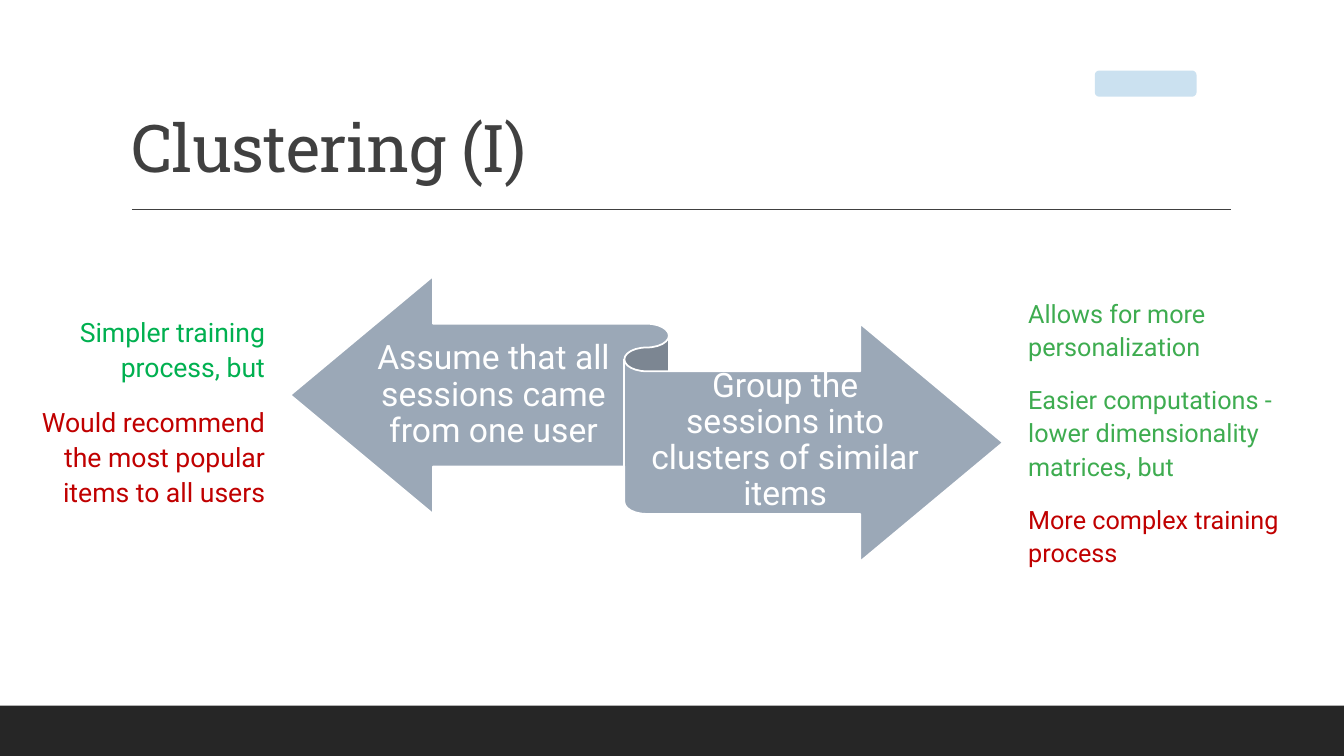
from pptx import Presentation
from pptx.dml.color import RGBColor
from pptx.enum.shapes import MSO_CONNECTOR, MSO_SHAPE
from pptx.enum.text import MSO_ANCHOR, MSO_AUTO_SIZE, PP_ALIGN
from pptx.oxml.ns import qn
from pptx.util import Pt
from lxml.etree import SubElement

HEAD = "Clustering (I)"
PROS = [
    ("Simpler training process, but", "good"),
    ("Would recommend the most popular items to all users", "bad"),
]
CONS = [
    ("Allows for more personalization", "gain"),
    ("Easier computations - lower dimensionality matrices, but", "gain"),
    ("More complex training process", "bad"),
]
ARMS = [
    ("Assume that all sessions came from one user", (268.6, 232.6, 167.8, 100)),
    ("Group the sessions into clusters of similar items", (461.5, 265, 198.7, 100)),
]
THEME = {
    "ink": "404040", "band": "262626", "ribbon": "9BA8B7", "white": "FFFFFF",
    "tag": "9AC5E2", "good": "00B050", "gain": "3EAC50", "bad": "C00000",
    "serif": "Roboto Slab", "sans": "Roboto",
    "title": 47, "left": 19, "right": 18, "arm": 24,
}
WIDE, HIGH, FOOT = 960, 540, 36


def color(name):
    return RGBColor.from_string(THEME[name])


def place(shape, box):
    shape.left, shape.top, shape.width, shape.height = map(Pt, box)


def draw(kind, box, fill, line=None):
    shape = slide.shapes.add_shape(kind, *map(Pt, box))
    shape.shadow.inherit = False
    shape.fill.solid()
    shape.fill.fore_color.rgb = color(fill)
    if line:
        shape.line.color.rgb = color(line)
        shape.line.width = Pt(1.25)
    else:
        shape.line.fill.background()
    return shape


def style(para, size, tint, face="sans"):
    for run in para.runs:
        run.font.size = Pt(THEME[size])
        run.font.name = THEME[face]
        run.font.color.rgb = color(tint)


def frame(shape, top, base, anchor):
    text = shape.text_frame
    text.word_wrap = True
    text.auto_size = MSO_AUTO_SIZE.NONE
    text.vertical_anchor = anchor
    text.margin_left = text.margin_right = 0
    text.margin_top, text.margin_bottom = Pt(top), Pt(base)
    return text


def notes(shape, items, size, align):
    text = frame(shape, 3.6, 3.6, MSO_ANCHOR.TOP)
    text.text = "\n".join(words for words, tint in items)
    for para, (words, tint) in zip(text.paragraphs, items):
        para.alignment = align
        para.line_spacing = 1.1
        para.space_before, para.space_after = Pt(12), Pt(2)
        props = para._p.get_or_add_pPr()
        props.set("marL", "0")
        props.set("indent", "0")
        SubElement(props, qn("a:buNone"))
        style(para, size, tint)


deck = Presentation()
deck.slide_width, deck.slide_height = Pt(WIDE), Pt(HIGH)
slide = deck.slides.add_slide(deck.slide_layouts[1])

draw(MSO_SHAPE.RECTANGLE, (0, HIGH - FOOT, WIDE, FOOT), "band")
rule = slide.shapes.add_connector(
    MSO_CONNECTOR.STRAIGHT, Pt(94.3), Pt(149.5), Pt(879), Pt(149.5))
rule.line.color.rgb = color("ink")
rule.line.width = Pt(1)
SubElement(rule._element.spPr, qn("a:effectLst"))

title = slide.shapes.title
place(title, (86.4, 22.3, 792, 114.5))
text = title.text_frame
text.text = HEAD
text.word_wrap = True
text.auto_size = MSO_AUTO_SIZE.NONE
text.vertical_anchor = MSO_ANCHOR.BOTTOM
para = text.paragraphs[0]
para.alignment = PP_ALIGN.LEFT
para.line_spacing = 0.9
style(para, "title", "ink", "serif")
para.runs[0].font._element.set("spc", "-50")

body = slide.placeholders[1]
place(body, (25.9, 219.6, 163.4, 157.7))
notes(body, PROS, "left", PP_ALIGN.RIGHT)

draw(MSO_SHAPE.LEFT_RIGHT_RIBBON, (207.4, 197.3, 509, 203.8), "ribbon", "white")
for words, box in ARMS:
    arm = slide.shapes.add_textbox(*map(Pt, box))
    text = frame(arm, 6.5, 7.2, MSO_ANCHOR.MIDDLE)
    text.text = words
    para = text.paragraphs[0]
    para.alignment = PP_ALIGN.CENTER
    para.line_spacing = 0.9
    style(para, "arm", "white")

side = slide.shapes.add_textbox(Pt(734.4), Pt(207.4), Pt(200.2), Pt(211.7))
notes(side, CONS, "right", PP_ALIGN.LEFT)

tag = draw(MSO_SHAPE.ROUNDED_RECTANGLE, (782, 50.4, 72.7, 18.7), "tag")
shade = tag._element.spPr.find(qn("a:solidFill"))[0]
SubElement(shade, qn("a:alpha")).set("val", "51000")

deck.save("out.pptx")
